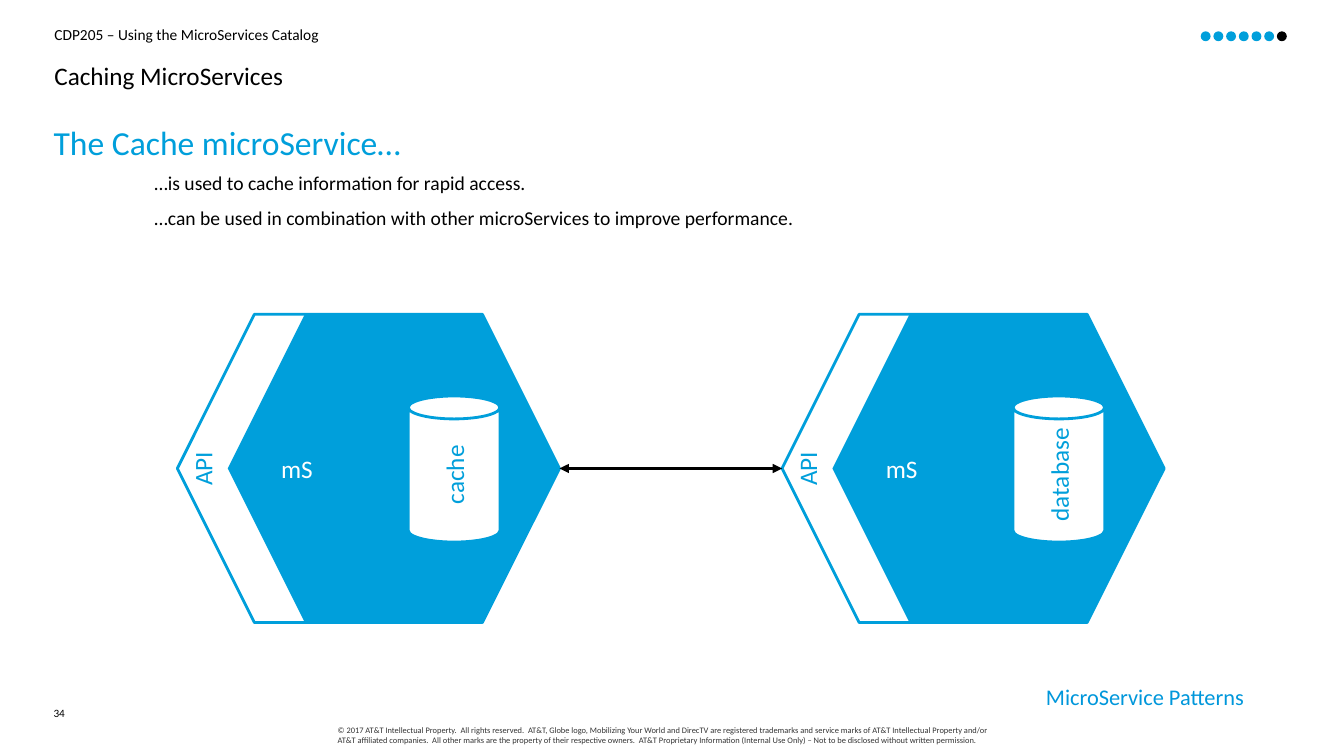
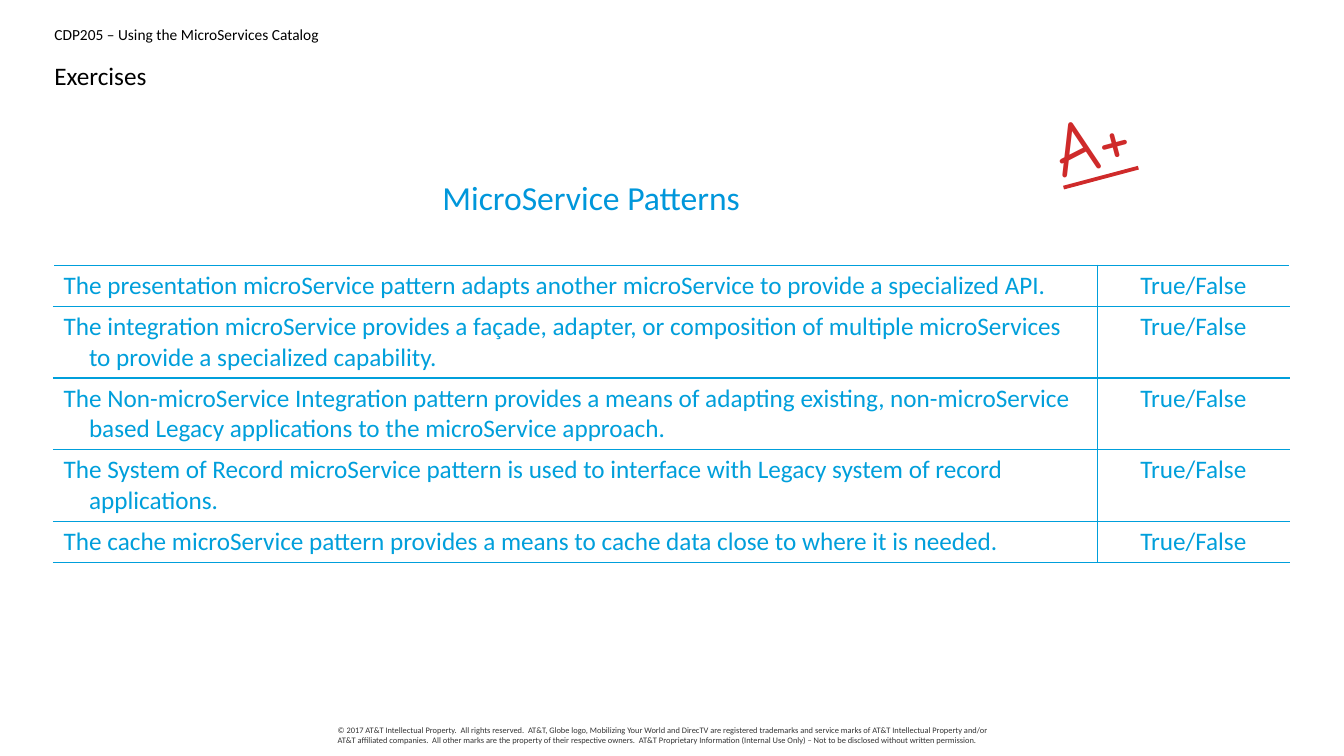
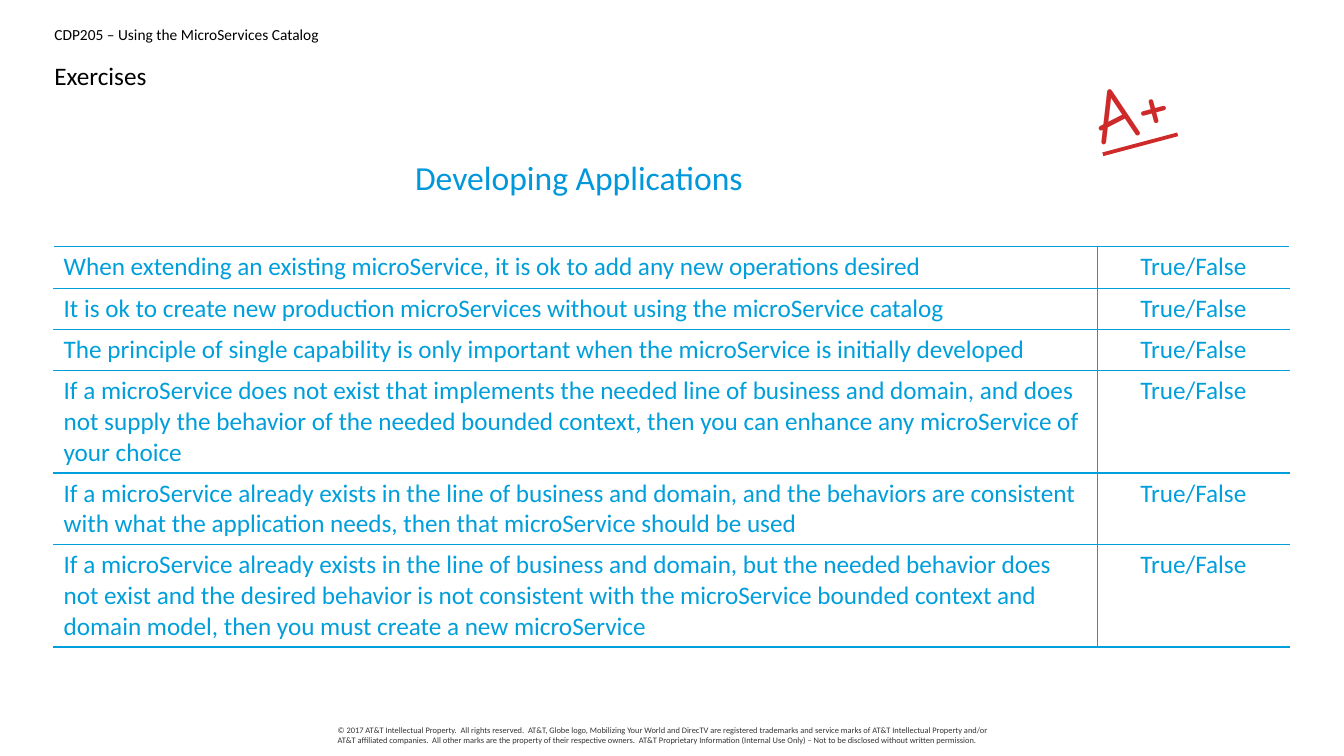
"""Build three slides on caching microservices and their exercises."""
from dataclasses import dataclass
from typing import NamedTuple, Optional

from lxml.etree import SubElement
from pptx import Presentation
from pptx.dml.color import RGBColor
from pptx.enum.shapes import MSO_CONNECTOR, MSO_SHAPE as SHAPE
from pptx.enum.text import MSO_ANCHOR as ANCHOR, MSO_AUTO_SIZE, PP_ALIGN as ALIGN
from pptx.oxml.ns import qn
from pptx.util import Cm, Pt

BLUE = RGBColor(0x00, 0x9F, 0xDB)
HEADING_BLUE = RGBColor(0x00, 0x97, 0xDB)
BLACK = RGBColor(0x00, 0x00, 0x00)
WHITE = RGBColor(0xFF, 0xFF, 0xFF)
GREY = RGBColor(0x34, 0x34, 0x34)
RED = RGBColor(0xCF, 0x2A, 0x2A)

COURSE = "CDP205 – Using the MicroServices Catalog"
COPYRIGHT = (
    "© 2017 AT&T Intellectual Property.  All rights reserved.  AT&T, Globe logo, "
    "Mobilizing Your World and DirecTV are registered trademarks and service marks of "
    "AT&T Intellectual Property and/or AT&T affiliated companies.  All other marks are "
    "the property of their respective owners.  AT&T Proprietary Information (Internal "
    "Use Only) – Not to be disclosed without written permission."
)
TITLE_ONLY = 5
MARGIN, CONTENT_W = 1.35, 31.14
HEX_TOP, HEX_W, HEX_H, API_W = 7.92, 9.63, 7.77, 1.27
DOT, DOT_PITCH, DOT_COUNT = 0.25, 0.32, 7


class Box(NamedTuple):
    """Position and size in centimetres."""
    left: float
    top: float
    width: float
    height: float

    def emu(self) -> tuple:
        """Return the four lengths for python-pptx."""
        return tuple(Cm(v) for v in self)


@dataclass(frozen=True)
class Style:
    """Look of a text run and its paragraph."""
    size: float
    color: RGBColor = BLUE
    align: ALIGN = ALIGN.LEFT
    font: str = "Calibri"
    underline: Optional[bool] = None


@dataclass(frozen=True)
class Service:
    """A microservice hexagon and the store inside it."""
    left: float
    store: str


@dataclass(frozen=True)
class Exercise:
    """A slide of true/false statements."""
    heading: str
    heading_box: Box
    grade_left: float
    grade_top: float
    table_top: float
    hanging: float
    statements: tuple


LABEL = Style(18)
CENTERED = Style(18, align=ALIGN.CENTER)
HEADING = Style(24, HEADING_BLUE, ALIGN.CENTER)

SERVICES = (Service(4.47, "cache"), Service(19.71, "database"))
EXERCISES = (
    Exercise("MicroService Patterns", Box(8.92, 4.34, 11.96, 1.27), 26.49, 2.21, 6.68, 0.64, (
        "The presentation microService pattern adapts another microService to provide a "
        "specialized API.",
        "The integration microService provides a façade, adapter, or composition of "
        "multiple microServices to provide a specialized capability.",
        "The Non-microService Integration pattern provides a means of adapting existing, "
        "non-microService based Legacy applications to the microService approach.",
        "The System of Record microService pattern is used to interface with Legacy "
        "system of record applications.",
        "The cache microService pattern provides a means to cache data close to where it "
        "is needed.",
    )),
    Exercise("Developing Applications", Box(10.16, 3.84, 8.86, 1.27), 27.48, 1.37, 6.22, 0, (
        "When extending an existing microService, it is ok to add any new operations desired",
        "It is ok to create new production microServices without using the microService "
        "catalog",
        "The principle of single capability is only important when the microService is "
        "initially developed",
        "If a microService does not exist that implements the needed line of business and "
        "domain, and does not supply the behavior of the needed bounded context, then you "
        "can enhance any microService of your choice",
        "If a microService already exists in the line of business and domain, and the "
        "behaviors are consistent with what the application needs, then that microService "
        "should be used",
        "If a microService already exists in the line of business and domain, but the "
        "needed behavior does not exist and the desired behavior is not consistent with "
        "the microService bounded context and domain model, then you must create a new "
        "microService",
    )),
)


def add_run(p, text: str, style: Style) -> None:
    """Add one formatted run to a paragraph."""
    p.alignment = style.align
    r = p.add_run()
    r.text = text
    r.font.size, r.font.name = Pt(style.size), style.font
    r.font.underline = style.underline
    r.font.color.rgb = style.color


def indent(p, left: float, first: float) -> None:
    """Set the left margin and first-line indent of a paragraph."""
    pPr = p._p.get_or_add_pPr()
    pPr.set("marL", str(Cm(left)))
    pPr.set("indent", str(Cm(first)))


def reset_frame(tf, wrap: bool = True, inset: bool = False, anchor: ANCHOR = ANCHOR.TOP) -> None:
    """Set wrapping, anchor and margins of a text frame."""
    tf.word_wrap, tf.auto_size, tf.vertical_anchor = wrap, MSO_AUTO_SIZE.NONE, anchor
    if not inset:
        tf.margin_left = tf.margin_top = tf.margin_right = tf.margin_bottom = 0


def add_text(s, box: Box, text: str, style: Style, wrap: bool = True,
             inset: bool = False, rotation: float = 0):
    """Add a one-paragraph text box and return it."""
    sp = s.shapes.add_textbox(*box.emu())
    sp.rotation = rotation
    reset_frame(sp.text_frame, wrap, inset)
    add_run(sp.text_frame.paragraphs[0], text, style)
    return sp


def add_shape(s, kind: SHAPE, box: Box, fill: RGBColor, line: Optional[RGBColor] = None,
              text: str = "", style: Style = LABEL):
    """Add a flat preset shape with an optional outline and label."""
    sp = s.shapes.add_shape(kind, *box.emu())
    sp.shadow.inherit = False
    sp.fill.solid()
    sp.fill.fore_color.rgb = fill
    if line is None:
        sp.line.fill.background()
    else:
        sp.line.color.rgb, sp.line.width = line, Pt(2)
    if text:
        reset_frame(sp.text_frame, anchor=ANCHOR.MIDDLE)
        add_run(sp.text_frame.paragraphs[0], text, style)
    return sp


def new_slide(prs, title: str):
    """Add a slide with the shared header, title and copyright line."""
    s = prs.slides.add_slide(prs.slide_layouts[TITLE_ONLY])
    add_text(s, Box(1.37, 0.64, CONTENT_W, 0.51), COURSE, Style(11, BLACK))
    add_text(s, Box(8.51, 18.26, 16.87, 0.61), COPYRIGHT, Style(6, GREY))
    sp = s.shapes.title
    sp.left, sp.top, sp.width, sp.height = Box(1.37, 1.45, CONTENT_W, 0.94).emu()
    reset_frame(sp.text_frame)
    p = sp.text_frame.paragraphs[0]
    p.line_spacing, p.space_after = 1.1, Pt(10)
    add_run(p, title, Style(18, BLACK))
    return s


def add_service(s, service: Service) -> None:
    """Draw a microservice with its API edge and data store."""
    x = service.left
    add_shape(s, SHAPE.HEXAGON, Box(x, HEX_TOP, HEX_W, HEX_H), WHITE, BLUE)
    add_shape(s, SHAPE.HEXAGON, Box(x + API_W, HEX_TOP, HEX_W - API_W, HEX_H), BLUE,
              text="mS", style=Style(18, WHITE))
    add_text(s, Box(x + 0.2, 11.43, 0.86, 0.76), "API", LABEL, wrap=False, rotation=270)
    can = add_shape(s, SHAPE.CAN, Box(x + 5.82, 9.98, 2.31, 3.68), WHITE, BLUE,
                    service.store, CENTERED)
    can.text_frame._txBody.bodyPr.set("vert", "vert270")


def add_double_arrow(s, x1: float, x2: float, y: float) -> None:
    """Draw a horizontal line with an arrowhead at each end."""
    c = s.shapes.add_connector(MSO_CONNECTOR.STRAIGHT, Cm(x1), Cm(y), Cm(x2), Cm(y))
    c.line.color.rgb, c.line.width = BLACK, Pt(2.25)
    ln = c.line._get_or_add_ln()
    for tag in ("a:headEnd", "a:tailEnd"):
        SubElement(ln, qn(tag)).set("type", "triangle")
    SubElement(c._element.spPr, qn("a:effectLst"))


def add_cache_slide(prs) -> None:
    """Build the slide on the cache microservice."""
    s = new_slide(prs, "Caching MicroServices")
    add_text(s, Box(MARGIN, 17.78, 0.81, 0.64), "34",
             Style(8, BLACK)).text_frame.paragraphs[0].line_spacing = Pt(10)
    tf = add_text(s, Box(MARGIN, 3.18, CONTENT_W, 3), "The Cache microService…",
                  Style(24)).text_frame
    tf.paragraphs[0].line_spacing, tf.paragraphs[0].space_after = 0.9, Pt(6)
    for text in ("…is used to cache information for rapid access.",
                 "…can be used in combination with other microServices to improve performance."):
        p = tf.add_paragraph()
        p.level, p.space_after = 1, Pt(8)
        indent(p, 3.18, -0.64)
        add_run(p, text, Style(14, BLACK))
    for service in SERVICES:
        add_service(s, service)
    cache, database = SERVICES
    add_double_arrow(s, cache.left + HEX_W, database.left, HEX_TOP + HEX_H / 2)
    for i in range(DOT_COUNT):
        add_shape(s, SHAPE.OVAL, Box(32.18 - i * DOT_PITCH, 0.79, DOT, DOT),
                  BLUE if i else BLACK)
    add_text(s, Box(26.01, 17.09, 5.59, 0.94), "MicroService Patterns",
             Style(16, HEADING_BLUE, ALIGN.RIGHT), wrap=False, inset=True)


def fill_cell(cell, text: str, style: Style, sides: str, hanging: float = 0) -> None:
    """Write a clear cell with blue borders on the given sides."""
    tcPr = cell._tc.get_or_add_tcPr()
    for side in sides:
        ln = SubElement(tcPr, qn(f"a:ln{side}"), w=str(Pt(1)))
        SubElement(SubElement(ln, qn("a:solidFill")), qn("a:srgbClr"), val=str(BLUE))
    cell.fill.background()
    p = cell.text_frame.paragraphs[0]
    if hanging:
        indent(p, hanging, -hanging)
    add_run(p, text, style)


def add_exercise_slide(prs, ex: Exercise) -> None:
    """Build a slide with a true/false table."""
    s = new_slide(prs, "Exercises")
    rows, row_h = len(ex.statements), 1.04
    frame = s.shapes.add_table(rows, 2, *Box(MARGIN, ex.table_top, CONTENT_W,
                                             rows * row_h).emu())
    table = frame.table
    table.first_row = table.horz_banding = False
    for column, width in zip(table.columns, (26.31, 4.83)):
        column.width = Cm(width)
    for i, statement in enumerate(ex.statements):
        table.rows[i].height = Cm(row_h)
        fill_cell(table.cell(i, 0), statement, LABEL, "RTB", ex.hanging)
        fill_cell(table.cell(i, 1), "True/False", CENTERED, "LTB")
    add_text(s, ex.heading_box, ex.heading, HEADING, wrap=False, inset=True)
    add_text(s, Box(ex.grade_left, ex.grade_top, 3.2, 2.26), "A+",
             Style(54, RED, font="Comic Neue", underline=True), rotation=345.1)


def main() -> None:
    """Create and save the presentation."""
    prs = Presentation()
    prs.slide_width, prs.slide_height = Cm(33.87), Cm(19.05)
    add_cache_slide(prs)
    for ex in EXERCISES:
        add_exercise_slide(prs, ex)
    prs.save("out.pptx")


if __name__ == "__main__":
    main()
